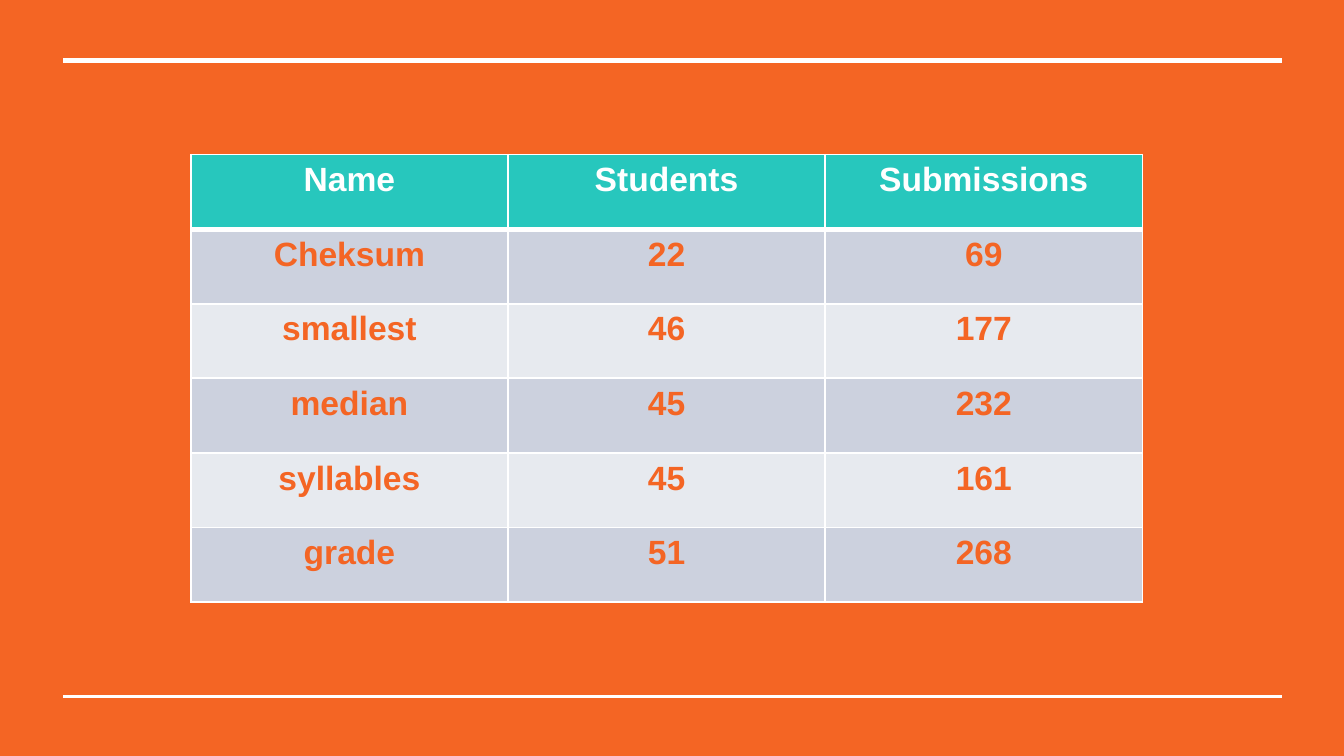
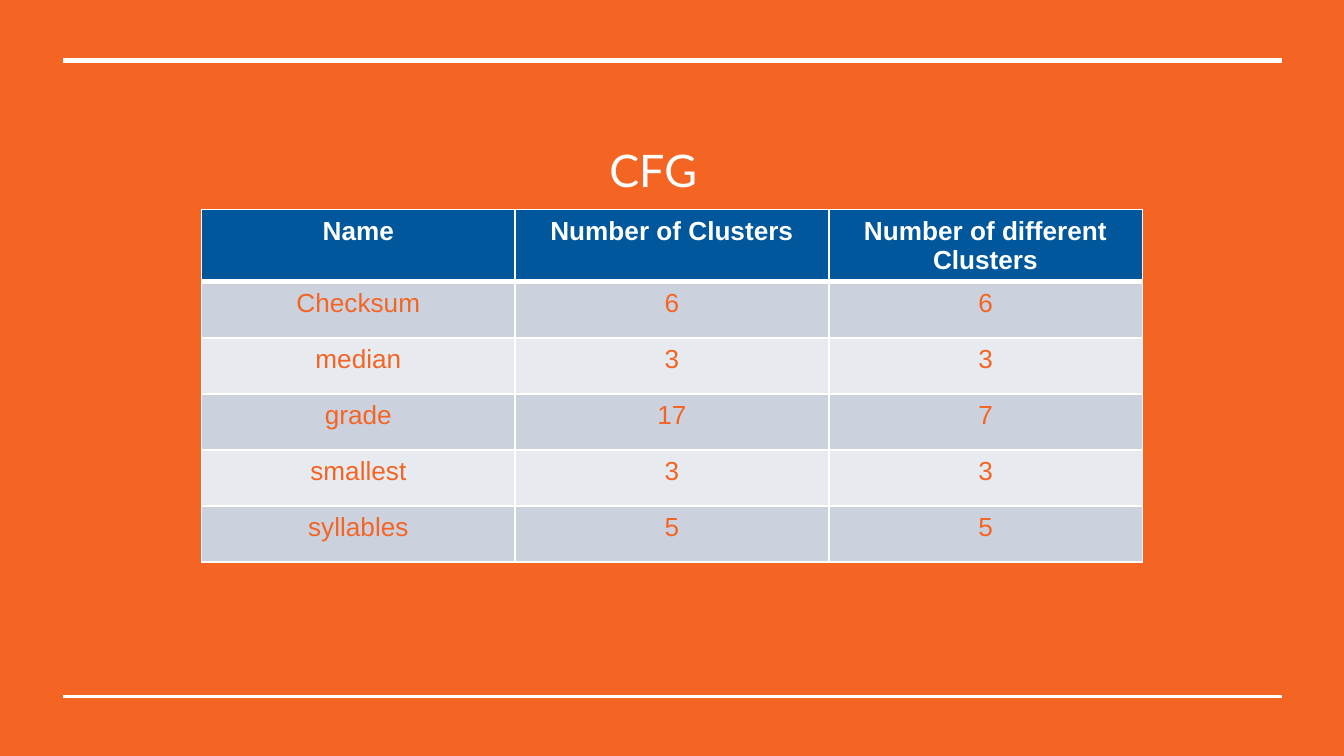
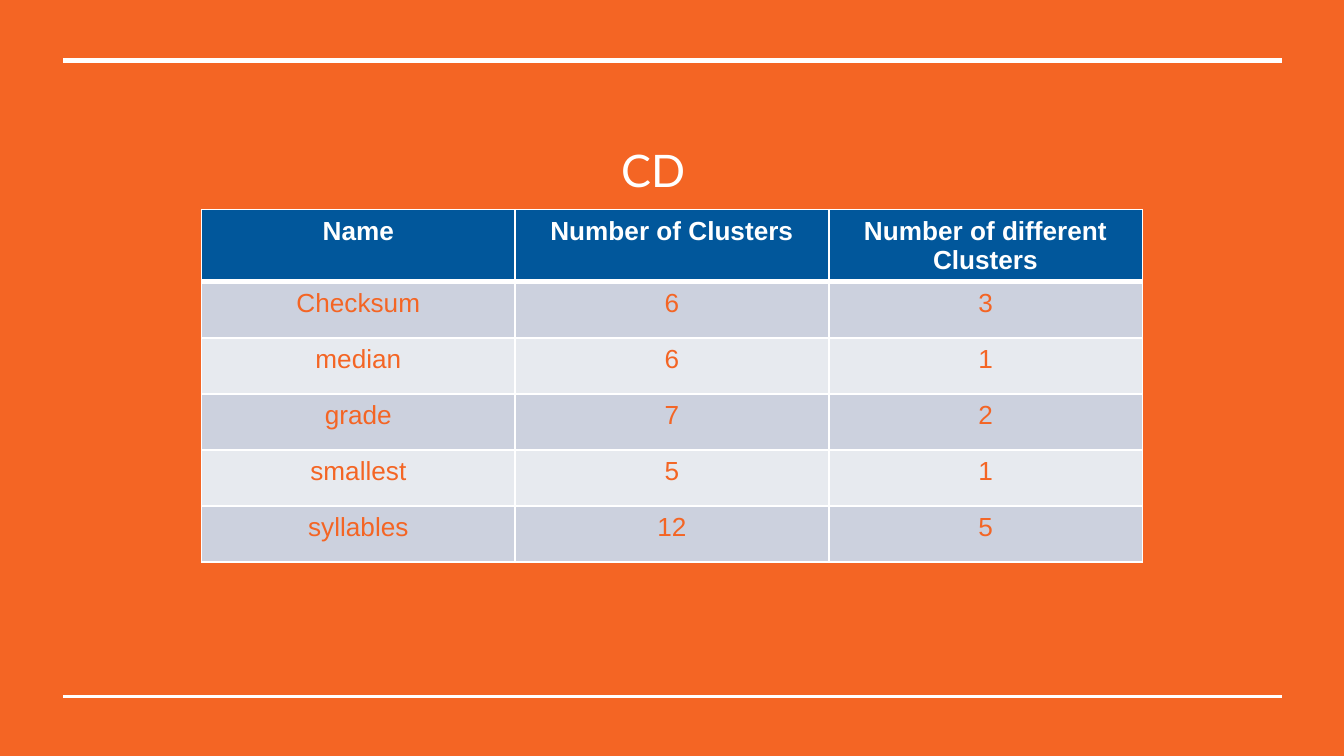
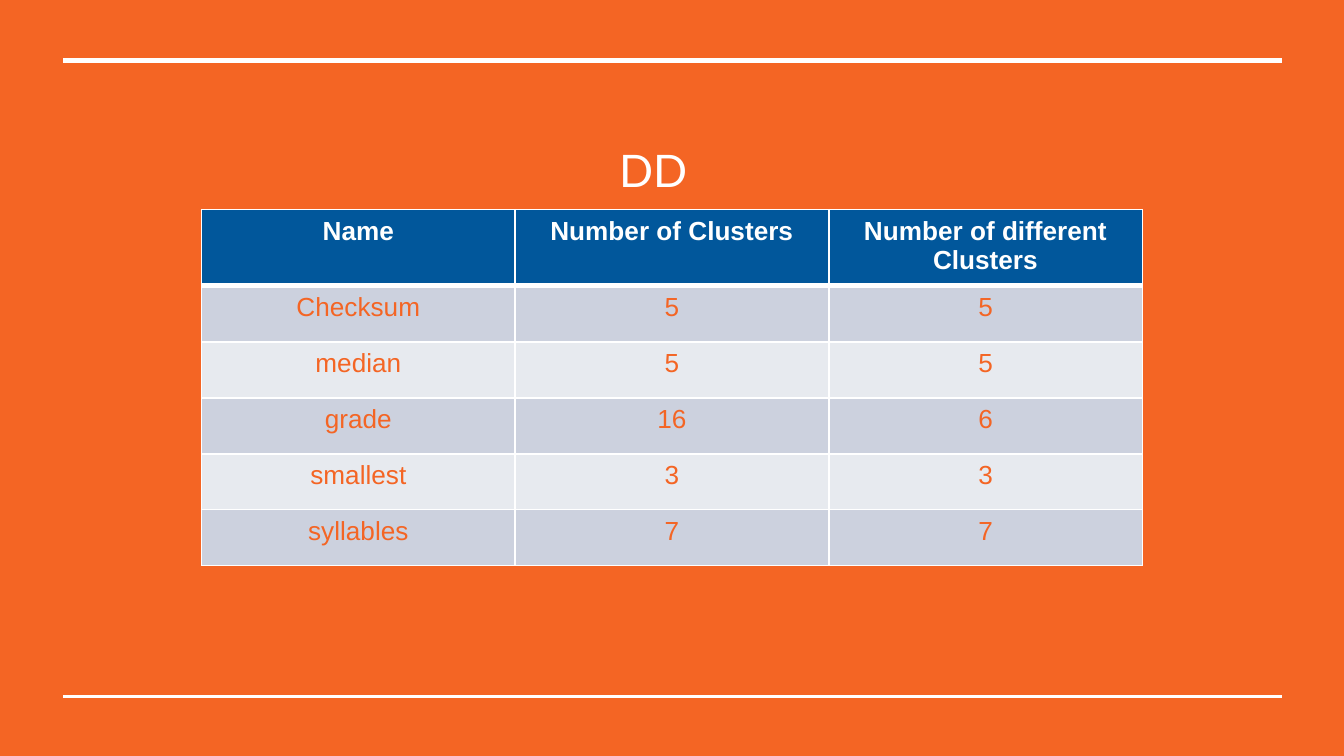
from lxml.etree import SubElement
from pptx import Presentation
from pptx.dml.color import RGBColor
from pptx.enum.shapes import MSO_CONNECTOR
from pptx.enum.text import MSO_ANCHOR, MSO_AUTO_SIZE, PP_ALIGN
from pptx.oxml.ns import qn
from pptx.util import Inches, Pt

SLIDE_WIDTH, SLIDE_HEIGHT = Inches(10), Inches(5.625)
ORANGE, WHITE = "F46524", "FFFFFF"
TEAL, BLUE = "27C7BD", "01579B"
BANDS = ("CCD1DE", "E7EAEF")
TITLE_ONLY_LAYOUT, BLANK_LAYOUT = 5, 6

# Boxes are left, top, width, height in percent of the slide.
TITLE_BOX = (29, 17.07, 39.2, 6.93)
SUBMISSIONS_BOX = (14.2, 20.45, 70.8, 59.2)
CLUSTERS_BOX = (15, 27.73, 70, 44.44)
RULE_LEFT, RULE_RIGHT = 4.7, 95.4
RULES = ((8, 3), (92.09, 1.5))  # top in percent, width in points

SUBMISSIONS = [
    ("Name", "Students", "Submissions"),
    ("Cheksum", 22, 69),
    ("smallest", 46, 177),
    ("median", 45, 232),
    ("syllables", 45, 161),
    ("grade", 51, 268),
]
CLUSTER_HEADER = ("Name", "Number of Clusters", "Number of different Clusters")
PROGRAMS = ("Checksum", "median", "grade", "smallest", "syllables")
# Title, clusters, different clusters, header height in rows
CLUSTER_SLIDES = [
    ("CFG", (6, 3, 17, 3, 5), (6, 3, 7, 3, 5), 1),
    ("CD", (6, 6, 7, 5, 12), (3, 1, 2, 1, 5), 1),
    ("DD", (5, 5, 16, 3, 7), (5, 5, 6, 3, 7), 1.36),
]


def color(hex_code):
    return RGBColor.from_string(hex_code)


def across(percent):
    return round(SLIDE_WIDTH * percent / 100)


def down(percent):
    return round(SLIDE_HEIGHT * percent / 100)


def place(box):
    left, top, width, height = box
    return across(left), down(top), across(width), down(height)


def format_paragraph(paragraph, font_name, size, hex_code, bold=False):
    paragraph.alignment = PP_ALIGN.CENTER
    font = paragraph.font
    font.name, font.size, font.bold = font_name, Pt(size), bold
    font.color.rgb = color(hex_code)


def style_master(presentation, slide):
    """Put the background and both rules on the master, drawing them by way of a slide."""
    master = presentation.slide_master
    master.background.fill.solid()
    master.background.fill.fore_color.rgb = color(ORANGE)
    for number, (top, width) in enumerate(RULES):
        rule = slide.shapes.add_connector(
            MSO_CONNECTOR.STRAIGHT,
            across(RULE_LEFT), down(top), across(RULE_RIGHT), down(top))
        rule.line.color.rgb = color(WHITE)
        rule.line.width = Pt(width)
        SubElement(rule.element.spPr, qn("a:effectLst"))
        rule.element.nvCxnSpPr.cNvPr.id = 100 + number
        master.shapes.element.append(rule.element)


def add_title(slide, text):
    title = slide.shapes.title
    title.left, title.top, title.width, title.height = place(TITLE_BOX)
    frame = title.text_frame
    frame.text = text
    frame.auto_size = MSO_AUTO_SIZE.NONE
    frame.vertical_anchor = MSO_ANCHOR.TOP
    frame.margin_left = frame.margin_right = Inches(0.1)
    frame.margin_top = frame.margin_bottom = Inches(0.1)
    format_paragraph(frame.paragraphs[0], "Lato", 24, WHITE)


def set_borders(cell, top, bottom):
    """Draw white cell edges: 1 point at the sides, the given points above and below."""
    properties = cell._tc.get_or_add_tcPr()
    for side, width in (("L", 1), ("R", 1), ("T", top), ("B", bottom)):
        line = SubElement(properties, qn(f"a:ln{side}"), w=str(Pt(width)))
        fill = SubElement(line, qn("a:solidFill"))
        SubElement(fill, qn("a:srgbClr"), val=WHITE)


def add_data_table(slide, box, rows, header_fill, size, bold_body=False, header_rows=1):
    """Fill the box with equal rows and columns; the header may take more than one row."""
    left, top, width, height = place(box)
    table = slide.shapes.add_table(
        len(rows), len(rows[0]), left, top, width, height).table
    table.horz_banding = False
    row_height = height / len(rows)
    for row_index, values in enumerate(rows):
        is_header = row_index == 0
        table.rows[row_index].height = round(
            row_height * (header_rows if is_header else 1))
        fill = header_fill if is_header else BANDS[(row_index - 1) % 2]
        for column_index, value in enumerate(values):
            cell = table.cell(row_index, column_index)
            cell.text = str(value)
            format_paragraph(cell.text_frame.paragraphs[0], "Arial", size,
                             WHITE if is_header else ORANGE, is_header or bold_body)
            set_borders(cell, 3 if row_index == 1 else 1, 3 if is_header else 1)
            cell.fill.solid()
            cell.fill.fore_color.rgb = color(fill)


def add_submissions_slide(presentation):
    slide = presentation.slides.add_slide(presentation.slide_layouts[BLANK_LAYOUT])
    add_data_table(slide, SUBMISSIONS_BOX, SUBMISSIONS, TEAL, 18, bold_body=True)
    return slide


def add_clusters_slide(presentation, title, clusters, different, header_rows):
    slide = presentation.slides.add_slide(presentation.slide_layouts[TITLE_ONLY_LAYOUT])
    add_title(slide, title)
    rows = [CLUSTER_HEADER, *zip(PROGRAMS, clusters, different)]
    add_data_table(slide, CLUSTERS_BOX, rows, BLUE, 14, header_rows=header_rows)


def main():
    presentation = Presentation()
    presentation.slide_width = SLIDE_WIDTH
    presentation.slide_height = SLIDE_HEIGHT
    first_slide = add_submissions_slide(presentation)
    style_master(presentation, first_slide)
    for cluster_slide in CLUSTER_SLIDES:
        add_clusters_slide(presentation, *cluster_slide)
    presentation.save("out.pptx")


if __name__ == "__main__":
    main()
